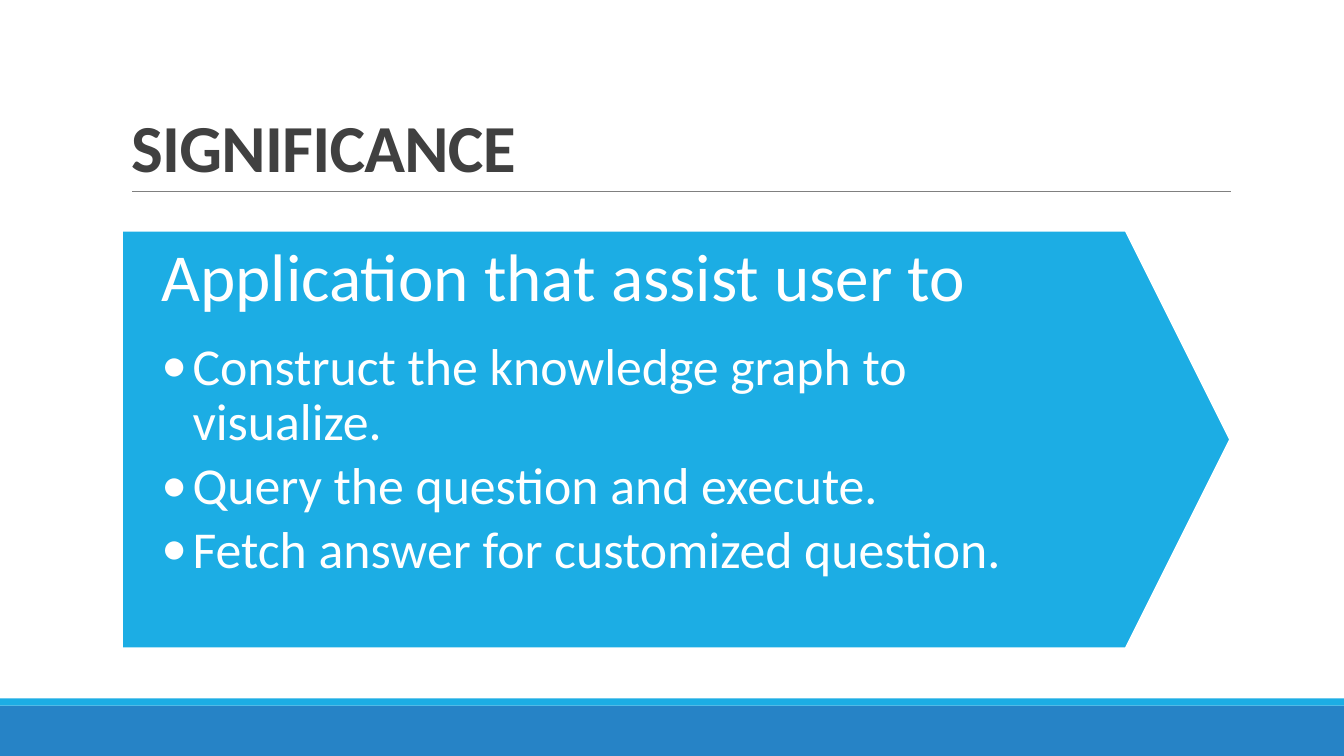
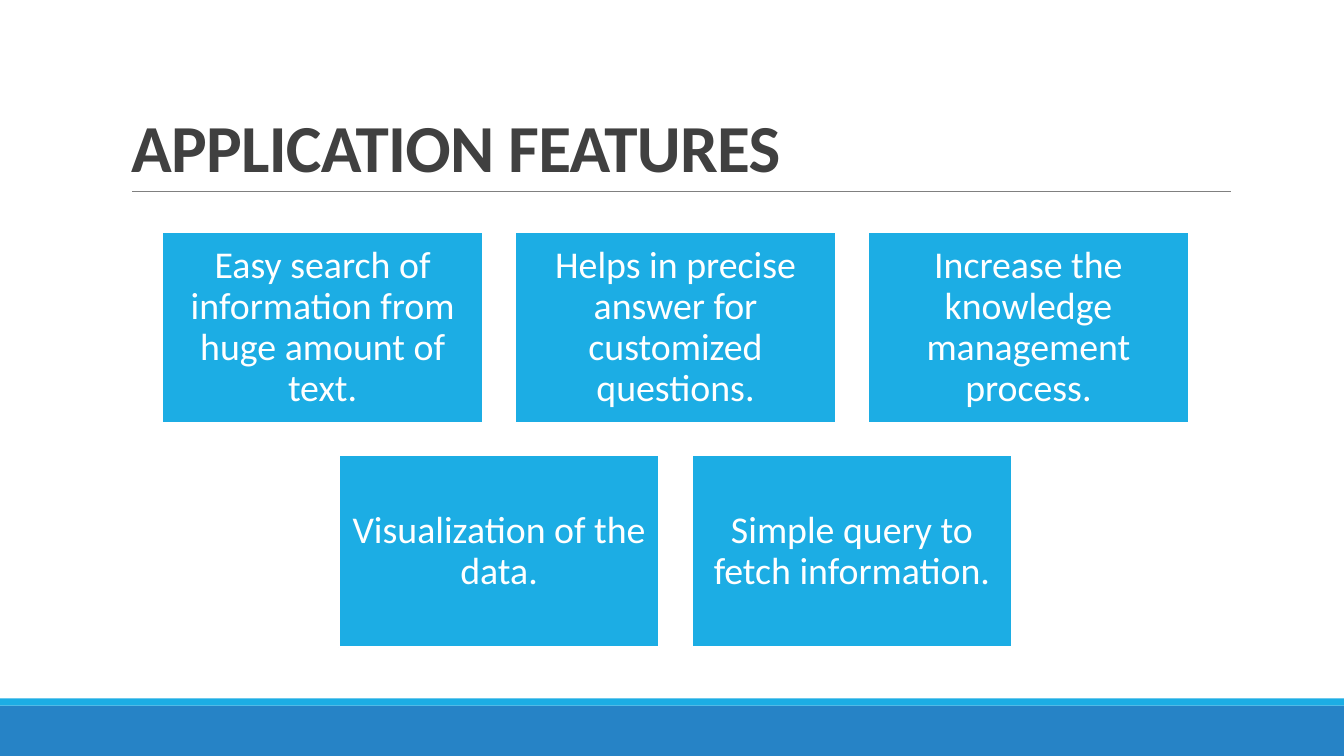
from lxml import etree
from pptx import Presentation
from pptx.dml.color import RGBColor
from pptx.enum.shapes import MSO_CONNECTOR, MSO_SHAPE
from pptx.enum.text import MSO_ANCHOR, MSO_AUTO_SIZE, PP_ALIGN
from pptx.oxml.ns import qn
from pptx.util import Pt

RECT, PENTAGON = MSO_SHAPE.RECTANGLE, MSO_SHAPE.PENTAGON
STRAIGHT = MSO_CONNECTOR.STRAIGHT
TOP, MIDDLE, BOTTOM = MSO_ANCHOR.TOP, MSO_ANCHOR.MIDDLE, MSO_ANCHOR.BOTTOM
LEFT, CENTER = PP_ALIGN.LEFT, PP_ALIGN.CENTER
NO_FIT = MSO_AUTO_SIZE.NONE

SCALE = 9144
SLIDE_W, SLIDE_H = 1333, 750
FONT = "Calibri"
COLORS = {
    "accent": "1CADE4",
    "band": "2683C6",
    "title": "404040",
    "rule": "808080",
    "white": "FFFFFF",
}


def px(n):
    return int(n * SCALE)


def color(name):
    return RGBColor.from_string(COLORS[name])


def add_block(slide, kind, box, fill, outline=None):
    sp = slide.shapes.add_shape(kind, *map(px, box))
    sp.shadow.inherit = False
    sp.fill.solid()
    sp.fill.fore_color.rgb = color(fill)
    if outline:
        sp.line.color.rgb = color(outline)
        sp.line.width = Pt(1.25)
    else:
        sp.line.fill.background()
    return sp


def set_frame(tf, anchor, insets):
    tf.word_wrap = True
    tf.auto_size = NO_FIT
    tf.vertical_anchor = anchor
    tf.margin_left, tf.margin_top, tf.margin_right, tf.margin_bottom = map(px, insets)


def set_text(p, text, size, name, align=LEFT, spacing=0.9, after=0):
    p.text = text
    p.alignment = align
    p.line_spacing = spacing
    p.space_before = Pt(0)
    p.space_after = Pt(after)
    font = p.runs[0].font
    font.name = FONT
    font.size = Pt(size)
    font.color.rgb = color(name)
    return p.runs[0]


def add_bullet(p, indent):
    pPr = p._p.get_or_add_pPr()
    pPr.set("marL", str(px(indent)))
    pPr.set("indent", str(-px(indent)))
    etree.SubElement(pPr, qn("a:buFont")).set("typeface", FONT)
    etree.SubElement(pPr, qn("a:buChar")).set("char", "•")


def add_base(prs, title):
    slide = prs.slides.add_slide(prs.slide_layouts[5])
    add_block(slide, RECT, (0, 700, SLIDE_W, 50), "band")
    add_block(slide, RECT, (0, 693, SLIDE_W, 7), "accent")

    rule = slide.shapes.add_connector(STRAIGHT, px(131), px(190), px(1221), px(190))
    rule.line.color.rgb = color("rule")
    rule.line.width = Pt(0.5)
    etree.SubElement(rule._element.spPr, qn("a:effectLst"))

    sp = slide.shapes.title
    sp.left, sp.top, sp.width, sp.height = map(px, (120, 31, 1100, 159))
    set_frame(sp.text_frame, BOTTOM, (10, 5, 10, 5))
    r = set_text(sp.text_frame.paragraphs[0], title, 48, "title", spacing=0.85)
    r.font.bold = True
    r._r.get_or_add_rPr().set("spc", "-50")
    return slide


def add_arrow_list(slide, box, heading, items):
    sp = add_block(slide, PENTAGON, box, "accent", "white")
    sp.adjustments[0] = 0.25
    tf = sp.text_frame
    set_frame(tf, TOP, (39, 13, 155, 13))
    set_text(tf.paragraphs[0], heading, 48, "white", after=17)
    for item in items:
        p = tf.add_paragraph()
        set_text(p, item, 37, "white", after=5.5)
        add_bullet(p, 31)


def add_card_grid(slide, box, rows, gap=32):
    left, top, width, height = box
    cols = max(map(len, rows))
    card_w = (width - gap * (cols - 1)) // cols
    card_h = (height - gap * (len(rows) - 1)) // len(rows)
    for i, row in enumerate(rows):
        row_w = len(row) * (card_w + gap) - gap
        x = left + (width - row_w) // 2
        y = top + i * (card_h + gap)
        for j, text in enumerate(row):
            card = (x + j * (card_w + gap), y, card_w, card_h)
            sp = add_block(slide, RECT, card, "accent", "white")
            set_frame(sp.text_frame, MIDDLE, (11, 11, 11, 11))
            set_text(sp.text_frame.paragraphs[0], text, 27, "white", CENTER)


def main():
    prs = Presentation()
    prs.slide_width, prs.slide_height = px(SLIDE_W), px(SLIDE_H)

    slide = add_base(prs, "SIGNIFICANCE")
    add_arrow_list(slide, (121, 229, 1099, 414), "Application that assist user to", [
        "Construct the knowledge graph to visualize.",
        "Query the question and execute.",
        "Fetch answer for customized question.",
    ])

    slide = add_base(prs, "APPLICATION FEATURES")
    add_card_grid(slide, (161, 230, 1018, 413), [
        [
            "Easy search of information from huge amount of text.",
            "Helps in precise answer for customized questions.",
            "Increase the knowledge management process.",
        ],
        ["Visualization of the data.", "Simple query to fetch information."],
    ])

    prs.save("out.pptx")


if __name__ == "__main__":
    main()
